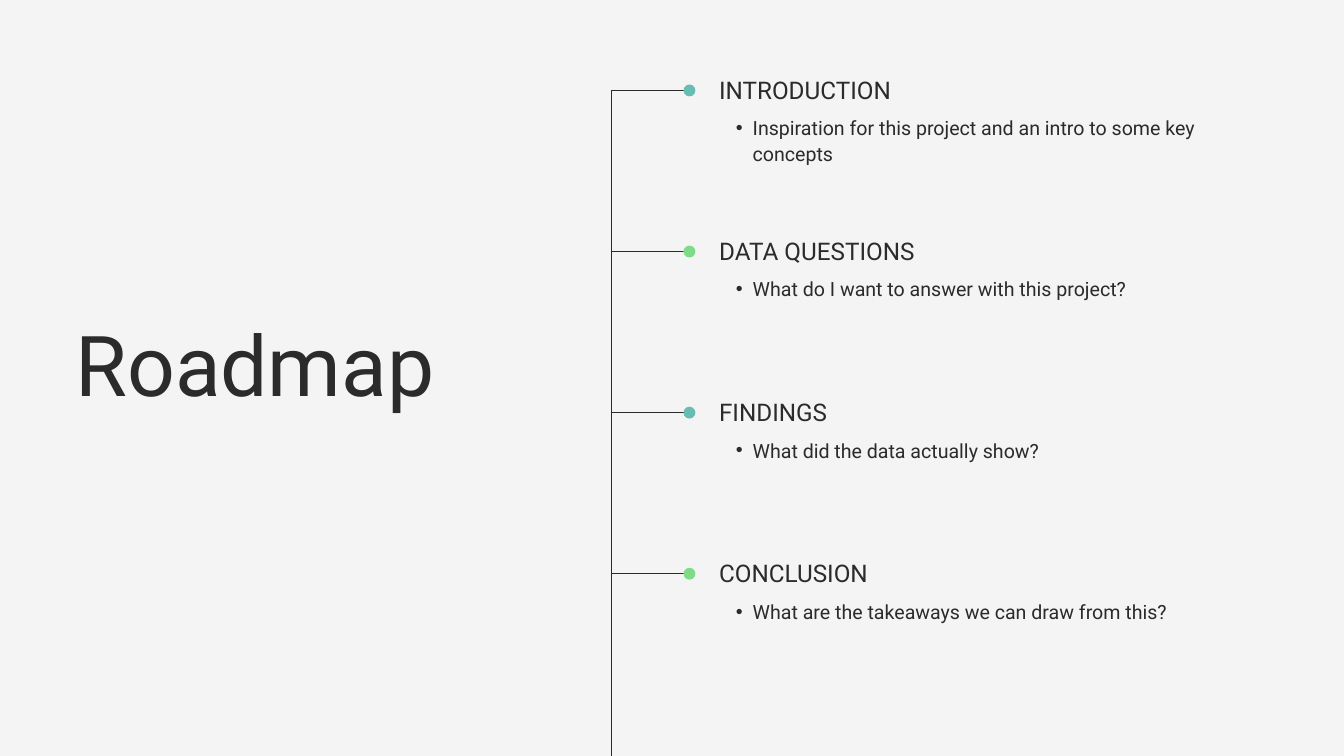
"""Build the Roadmap slide: a title beside a branching timeline of four sections."""
import lxml.etree
import pptx
import pptx.dml.color
import pptx.enum.shapes
import pptx.enum.text
import pptx.oxml.ns
import pptx.util

Cm = pptx.util.Cm
Pt = pptx.util.Pt
qn = pptx.oxml.ns.qn


def rgb(value):
    return pptx.dml.color.RGBColor.from_string(value)


class RoadmapSlide:
    font = "Roboto"
    ink = "2B2B2B"
    paper = "F4F4F4"

    def __init__(self, deck, layout):
        self.slide = deck.slides.add_slide(deck.slide_layouts[layout])
        self.slide.background.fill.solid()
        self.slide.background.fill.fore_color.rgb = rgb(self.paper)

    def set_words(self, holder, words, box, size, leading):
        holder.left, holder.top, holder.width, holder.height = map(Cm, box)
        frame = holder.text_frame
        frame.text = words
        frame.word_wrap = True
        frame.auto_size = pptx.enum.text.MSO_AUTO_SIZE.NONE
        frame.vertical_anchor = pptx.enum.text.MSO_ANCHOR.TOP
        frame.margin_left = frame.margin_right = 0
        frame.margin_top = frame.margin_bottom = 0
        paragraph = frame.paragraphs[0]
        paragraph.alignment = pptx.enum.text.PP_ALIGN.LEFT
        paragraph.line_spacing = Pt(leading)
        paragraph.space_before = Pt(0)
        for run in paragraph.runs:
            run.font.name = self.font
            run.font.size = Pt(size)
            run.font.bold = False
            run.font.color.rgb = rgb(self.ink)
        return paragraph

    def title(self, words, box):
        self.set_words(self.slide.shapes.title, words, box, 90, 99)

    def heading(self, words, box):
        holder = self.slide.shapes.add_textbox(0, 0, 0, 0)
        self.set_words(holder, words, box, 26, 31.2)

    def bullet(self, number, words, box):
        holder = self.slide.placeholders[number]
        paragraph = self.set_words(holder, words, box, 21, 27.3)
        paragraph.level = 1
        properties = paragraph._p.get_or_add_pPr()
        properties.set("marL", str(Cm(1.27)))
        properties.set("indent", str(-Cm(0.64)))
        lxml.etree.SubElement(properties, qn("a:buChar")).set("char", "•")

    def line(self, x1, y1, x2, y2):
        connector = self.slide.shapes.add_connector(
            pptx.enum.shapes.MSO_CONNECTOR.STRAIGHT, Cm(x1), Cm(y1), Cm(x2), Cm(y2))
        connector.line.color.rgb = rgb(self.ink)
        connector.line.width = Pt(1)
        lxml.etree.SubElement(connector._element.spPr, qn("a:effectLst"))

    def dot(self, x, y, diameter, color):
        marker = self.slide.shapes.add_shape(
            pptx.enum.shapes.MSO_SHAPE.OVAL,
            Cm(x - diameter / 2), Cm(y - diameter / 2), Cm(diameter), Cm(diameter))
        marker.shadow.inherit = False
        marker.fill.solid()
        marker.fill.fore_color.rgb = rgb(color)
        marker.line.fill.background()


def main():
    deck = pptx.Presentation()
    width, height = 50.8, 28.58
    deck.slide_width, deck.slide_height = Cm(width), Cm(height)
    roadmap = RoadmapSlide(deck, layout=4)
    roadmap.title("Roadmap", (2.85, 12.12, 16.97, 3.58))

    sections = [
        ("INTRODUCTION", "Inspiration for this project and an intro to some key concepts"),
        ("DATA QUESTIONS", "What do I want to answer with this project?"),
        ("FINDINGS", "What did the data actually show?"),
        ("CONCLUSION", "What are the takeaways we can draw from this?"),
    ]
    dot_colors = ["68BDB2", "80DB89"]
    trunk_x, dot_x, text_x, text_width = 23.12, 26.06, 27.18, 18.49
    first_y, pitch = 3.42, 6.09

    roadmap.line(trunk_x, height, trunk_x, first_y)
    for index, (name, summary) in enumerate(sections):
        y = first_y + index * pitch
        roadmap.line(trunk_x, y, dot_x, y)
        roadmap.dot(dot_x, y, 0.45, dot_colors[index % 2])
        roadmap.heading(name, (text_x, y - 0.57, text_width, 1.1))
        roadmap.bullet(index + 1, summary, (text_x, y + 0.9, text_width, 1.88))

    deck.save("out.pptx")


if __name__ == "__main__":
    main()
